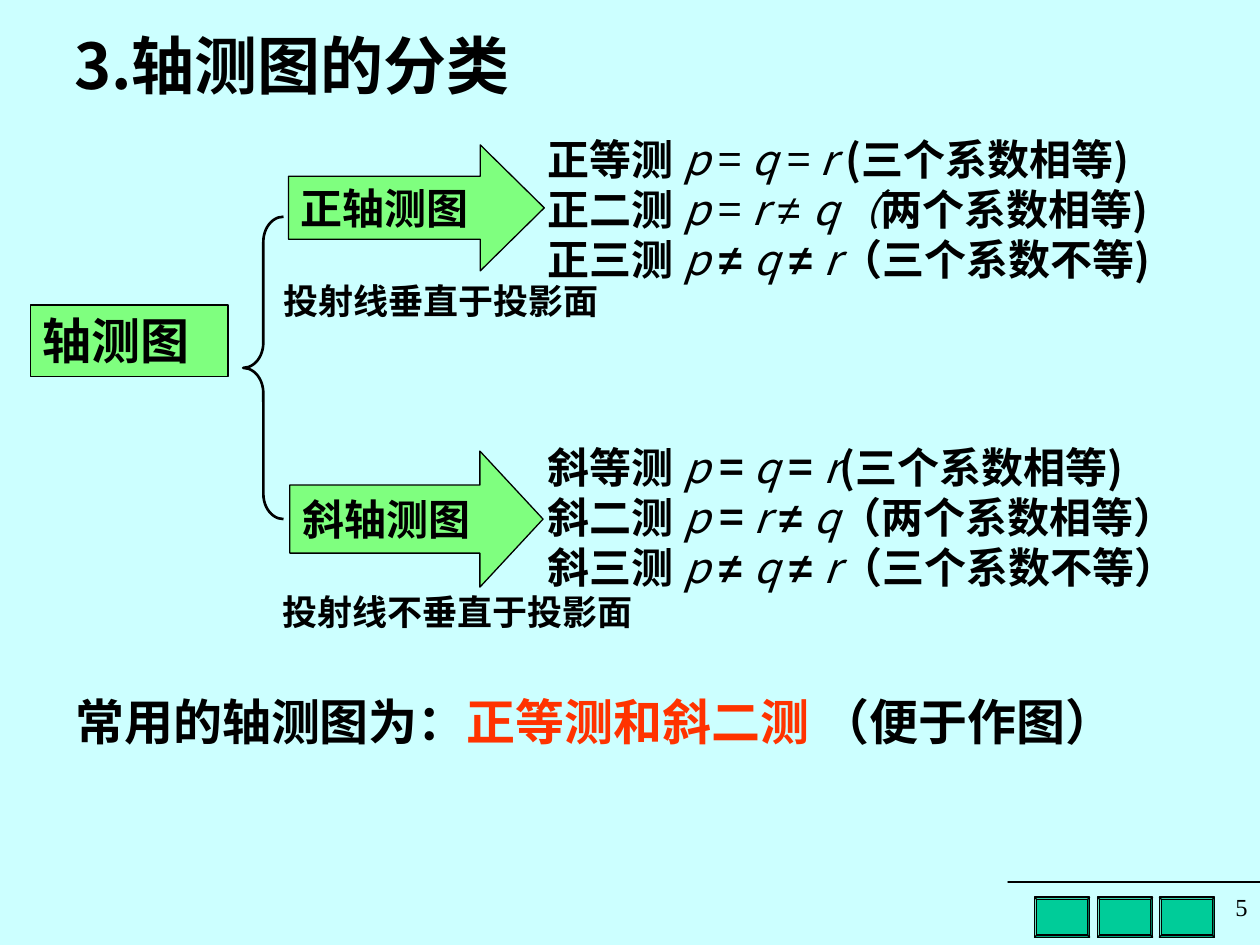
from pptx import Presentation
from pptx.dml.color import RGBColor
from pptx.enum.shapes import MSO_SHAPE
from pptx.enum.text import MSO_ANCHOR, PP_ALIGN
from pptx.util import Inches, Pt
from lxml.etree import SubElement
from pptx.oxml.ns import qn

SANS, ARIAL, SERIF = "Noto Sans CJK SC", "Arial", "Times New Roman"
BLACK, GREEN, TEAL, DARK_TEAL = "000000", "7FFF7F", "00CC99", "007A5C"
LINE_RATIO = 1.19

# Run styles of the formulas: variable, light and bold relation, light and bold unequal
VAR = dict(bold=False, italic=True)
REL = dict(bold=False)
NE, NE_BOLD = dict(font=ARIAL, bold=False), dict(font=ARIAL)


def color(value):
    return RGBColor.from_string(value)


def paint(sp, fill=None, width=0.75):
    sp.shadow.inherit = False
    if fill:
        sp.fill.solid()
        sp.fill.fore_color.rgb = color(fill)
    else:
        sp.fill.background()
    sp.line.color.rgb = color(BLACK)
    sp.line.width = Pt(width)
    return sp


def add_run(p, text, size=24, font=SANS, hue=BLACK, bold=True, italic=False):
    r = p.add_run()
    r.text = text
    r.font.size, r.font.name = Pt(size), font
    r.font.bold, r.font.italic = bold, italic
    r.font.color.rgb = color(hue)
    SubElement(r._r.get_or_add_rPr(), qn("a:ea")).set("typeface", SANS)


def write(sp, rows, anchor=MSO_ANCHOR.TOP, align=PP_ALIGN.LEFT, size=24, **style):
    """Fill a shape with rows; a row is a text or a list of (text, style) runs."""
    tf = sp.text_frame
    tf.word_wrap = True
    tf.vertical_anchor = anchor
    for i, row in enumerate(rows):
        p = tf.paragraphs[0] if i == 0 else tf.add_paragraph()
        p.alignment = align
        p.line_spacing = Pt(round(size * LINE_RATIO, 1))
        for text, extra in [(row, {})] if isinstance(row, str) else row:
            add_run(p, text, **{"size": size, **style, **extra})


def add_text(s, box, rows, **style):
    write(s.shapes.add_textbox(*map(Inches, box)), rows, **style)


def add_shape(s, kind, box, fill=None, width=0.75, adjust=()):
    sp = paint(s.shapes.add_shape(kind, *map(Inches, box)), fill, width)
    for i, value in enumerate(adjust):
        sp.adjustments[i] = value
    return sp


def add_icon(s, points):
    fb = s.shapes.build_freeform(*points[0], scale=Inches(1))
    fb.add_line_segments(points[1:], close=True)
    paint(fb.convert_to_shape(), DARK_TEAL)


def add_button(s, left, tip, base):
    """Navigation button with a triangle from its base to its tip."""
    top, height = 7.12, 0.32
    add_shape(s, MSO_SHAPE.BEVEL, (left, top, 0.44, height), TEAL, adjust=[0.06])
    middle = top + height / 2
    add_icon(s, [(tip, middle), (base, middle - 0.1), (base, middle + 0.1)])


def add_branch(s, arrow, head, name, note, note_box, formulas, formula_box):
    sp = add_shape(s, MSO_SHAPE.RIGHT_ARROW, arrow, GREEN, adjust=[0.5, head])
    write(sp, [name], anchor=MSO_ANCHOR.MIDDLE, font=SERIF)
    add_text(s, formula_box, formulas, anchor=MSO_ANCHOR.MIDDLE)
    add_text(s, note_box, [note], size=20, font=ARIAL)


def all_different(name, note):
    return [(name, {}), ("p ", VAR), ("≠ ", NE_BOLD), ("q ", VAR),
            ("≠ ", NE_BOLD), ("r", VAR), (note, {})]


def main():
    prs = Presentation()
    prs.slide_width, prs.slide_height = Inches(10), Inches(7.5)
    s = prs.slides.add_slide(prs.slide_layouts[6])
    s.background.fill.solid()
    s.background.fill.fore_color.rgb = color("CCFFFF")

    # Navigation buttons
    add_button(s, 9.2, tip=9.52, base=9.31)
    add_button(s, 8.71, tip=8.83, base=9.04)
    add_button(s, 8.21, tip=8.38, base=8.54)
    add_icon(s, [(8.33, 7.17), (8.35, 7.17), (8.35, 7.38), (8.33, 7.38)])

    # Title and root of the tree
    add_text(s, (0.49, 0.13, 5.11, 0.77), ["3.轴测图的分类"],
             anchor=MSO_ANCHOR.MIDDLE, size=36)
    root = add_shape(s, MSO_SHAPE.RECTANGLE, (0.24, 2.42, 1.57, 0.57), GREEN)
    write(root, ["轴测图"], size=28, font=SERIF)
    add_shape(s, MSO_SHAPE.LEFT_BRACE, (1.93, 1.72, 0.32, 2.4), width=1.5,
              adjust=[0.625, 0.5])

    # Upper branch
    add_branch(
        s, (2.29, 1.15, 2.03, 1), 0.508, "正轴测图",
        "投射线垂直于投影面", (2.15, 2.17, 3.08, 0.44),
        [[("正等测 ", {}), ("p ", VAR), ("=", REL), (" q", VAR), (" = ", REL),
          ("r ", VAR), ("(三个系数相等)", {})],
         [("正二测 ", {}), ("p", VAR), (" = ", REL), ("r ", VAR), ("≠ ", NE),
          ("q（", VAR), ("两个系数相等)", {})],
         all_different("正三测 ", "（三个系数不等)")],
        (4.25, 0.86, 5.75, 1.6))

    # Lower branch
    add_branch(
        s, (2.3, 3.58, 2.01, 1.08), 0.464, "斜轴测图",
        "投射线不垂直于投影面", (2.14, 4.64, 3.49, 0.44),
        [[("斜等测 ", {}), ("p", VAR), (" = ", {}), ("q", VAR), (" = ", {}),
          ("r", VAR), ("(三个系数相等)", {})],
         [("斜二测 ", {}), ("p", VAR), (" = ", {}), ("r ", VAR), ("≠ ", NE_BOLD),
          ("q", VAR), ("（两个系数相等）", {})],
         all_different("斜三测 ", "（三个系数不等）")],
        (4.25, 3.33, 5.75, 1.55))

    # Conclusion and page number
    add_text(s, (0.5, 5.44, 8.87, 1.04),
             [[("常用的轴测图为：", {}), ("正等测和斜二测", dict(hue="FF3300")),
               (" （便于作图）", {})]], size=28)
    add_text(s, (7.48, 7.03, 2.52, 0.45), ["5"], align=PP_ALIGN.RIGHT,
             size=14, font=SERIF, bold=False)

    prs.save("out.pptx")


if __name__ == "__main__":
    main()
